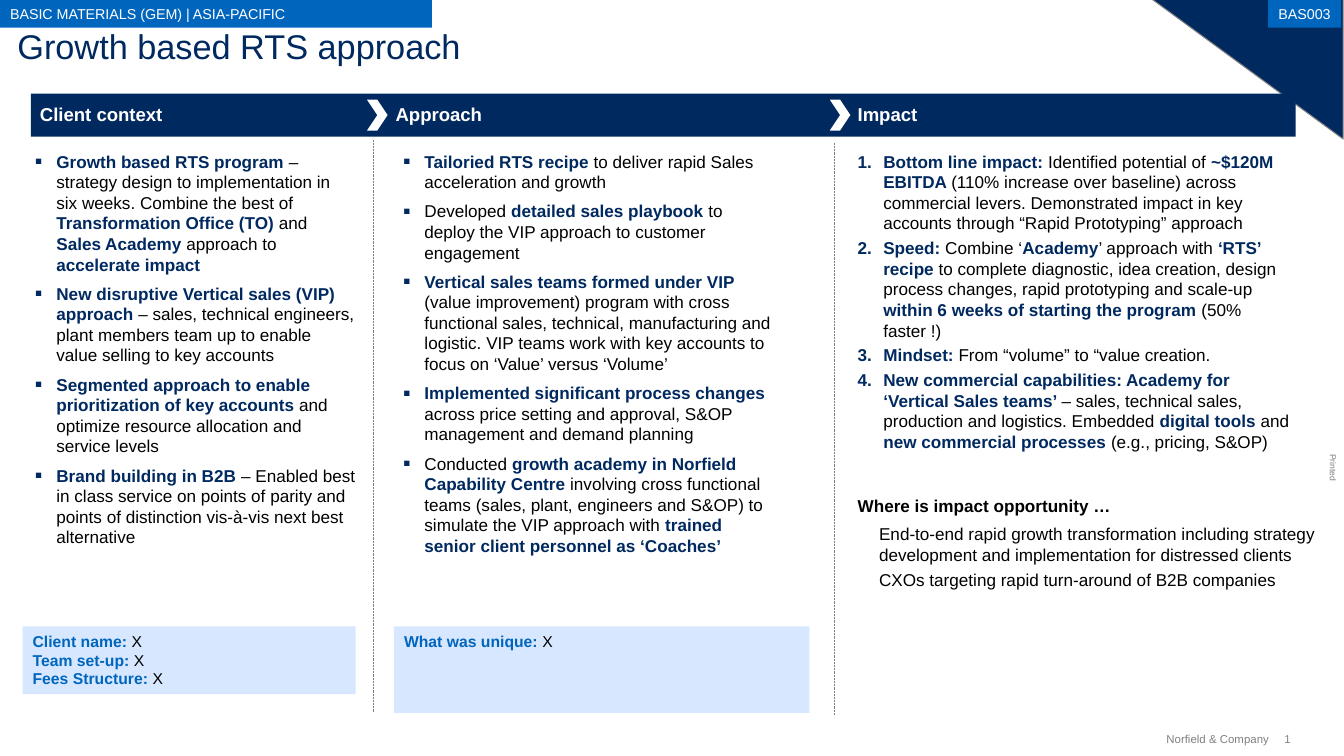
from lxml.etree import SubElement
from pptx import Presentation
from pptx.dml.color import RGBColor
from pptx.enum.dml import MSO_LINE
from pptx.enum.shapes import MSO_CONNECTOR, MSO_SHAPE
from pptx.enum.text import MSO_ANCHOR, PP_ALIGN
from pptx.oxml.ns import qn
from pptx.util import Pt

NAVY, BLUE, PALE, GREY, BLACK, WHITE = "002960", "0065BD", "D6E7FF", "808080", "000000", "FFFFFF"

# Text between asterisks is bold and takes the accent colour.
CONTEXT = [
    "*Growth based RTS program *– strategy design to implementation in six weeks. Combine the best of "
    "*Transformation Office (TO) *and *Sales Academy *approach to *accelerate impact*",
    "*New disruptive Vertical sales (VIP) approach *– sales, technical engineers, plant members team up "
    "to enable value selling to key accounts",
    "*Segmented approach to enable prioritization of key accounts *and optimize resource allocation "
    "and service levels",
    "*Brand building in B2B *– Enabled best in class service on points of parity and points of "
    "distinction vis-à-vis next best alternative",
]
APPROACH = [
    "*Tailoried RTS recipe* to deliver rapid Sales acceleration and growth",
    "Developed *detailed sales playbook *to deploy the VIP approach to customer engagement",
    "*Vertical sales teams formed under VIP *(value improvement) program with cross functional sales, "
    "technical, manufacturing and logistic. VIP teams work with key accounts to focus on ‘Value’ versus ‘Volume’",
    "*Implemented significant process changes* across price setting and approval, S&OP management "
    "and demand planning",
    "Conducted *growth academy in Norfield Capability Centre *involving cross functional teams (sales, "
    "plant, engineers and S&OP) to simulate the VIP approach with "
    "*trained senior client personnel as ‘Coaches’*",
]
IMPACT = [
    "*Bottom line impact: *Identified potential of *~$120M EBITDA *(110% increase over baseline) across "
    "commercial levers. Demonstrated impact in key accounts through “Rapid Prototyping” approach",
    "*Speed: *Combine ‘*Academy*’ approach with *‘RTS’ recipe *to complete diagnostic, idea creation, "
    "design process changes, rapid prototyping and scale-up *within 6 weeks of starting the program *"
    "(50% faster !)",
    "*Mindset: *From “volume” to “value creation.",
    "*New commercial capabilities: Academy for ‘Vertical Sales teams’ *– sales, technical sales, "
    "production and logistics. Embedded* digital tools *and *new commercial processes *(e.g., pricing, S&OP)",
]
OPPORTUNITY = [
    "End-to-end rapid growth transformation including strategy development and implementation "
    "for distressed clients",
    "CXOs targeting rapid turn-around of B2B companies",
]
# heading, heading left, body left, body width, paragraphs, space before, indent, bullet
COLUMNS = [
    ("Client context", 28, 24.5, 224.6, CONTEXT, 6, 15, "▪"),
    ("Approach", 277, 282.2, 260.6, APPROACH, 6, 15, "▪"),
    ("Impact", 600.5, 600.5, 307.4, IMPACT, 3, 18, "1."),
]
# chevron left, line left, line top
DIVIDERS = [(257, 261.4, 98), (581, 583.9, 100)]
LINE_LENGTH = 401
# left, width, height, paragraphs
PANELS = [
    (15.8, 233.3, 47.5, ["*Client name: *X", "*Team set-up: *X", "*Fees Structure: *X"]),
    (275.8, 290.9, 60.5, ["*What was unique: *X"]),
]
# left, width, text, alignment
TAGS = [
    (887.8, 51.1, "BAS003", PP_ALIGN.CENTER),
    (0, 302.4, "BASIC MATERIALS (GEM) | ASIA-PACIFIC", PP_ALIGN.LEFT),
]
# left, top, width, height, text, size, alignment, rotation
FOOTERS = [
    (923.8, 324, 19.4, 7.2, "Printed", 6, PP_ALIGN.LEFT, 90),
    (899.3, 512.6, 10, 9.4, "1", 8, PP_ALIGN.LEFT, 0),
    (808.6, 512.6, 80, 9.4, "Norfield & Company", 8, PP_ALIGN.RIGHT, 0),
]


def color(value):
    return RGBColor.from_string(value)


def add_bullet(paragraph, bullet, indent):
    properties = paragraph._p.get_or_add_pPr()
    properties.set("marL", str(Pt(indent)))
    if not bullet:
        return
    properties.set("indent", str(-Pt(indent)))
    SubElement(SubElement(properties, qn("a:buClr")), qn("a:srgbClr")).set("val", NAVY)
    if bullet == "1.":
        SubElement(properties, qn("a:buAutoNum")).set("type", "arabicPeriod")
    else:
        SubElement(properties, qn("a:buSzPct")).set("val", "125000")
        SubElement(properties, qn("a:buFont")).set("typeface", "Arial")
        SubElement(properties, qn("a:buChar")).set("char", bullet)


def write(shape, lines, size, plain=BLACK, accent=NAVY, align=PP_ALIGN.LEFT, anchor=MSO_ANCHOR.TOP,
          margins=(0, 0, 0, 0), wrap=True, gap=0, indent=0, bullet=None):
    frame = shape.text_frame
    frame.word_wrap = wrap
    frame.vertical_anchor = anchor
    frame.margin_left, frame.margin_top, frame.margin_right, frame.margin_bottom = map(Pt, margins)
    for index, line in enumerate(lines):
        paragraph = frame.add_paragraph() if index else frame.paragraphs[0]
        paragraph.alignment = align
        paragraph.space_before = Pt(gap if index else 0)
        if indent:
            add_bullet(paragraph, bullet, indent)
        for position, text in enumerate(line.split("*")):
            if text:
                run = paragraph.add_run()
                run.text = text
                run.font.name = "Arial"
                run.font.size = Pt(size)
                run.font.bold = position % 2 == 1
                run.font.color.rgb = color(accent if run.font.bold else plain)


def add_text(slide, left, top, width, height, lines, size, **style):
    box = slide.shapes.add_textbox(Pt(left), Pt(top), Pt(width), Pt(height))
    write(box, lines, size, **style)
    return box


def add_block(slide, kind, left, top, width, height, fill):
    shape = slide.shapes.add_shape(kind, Pt(left), Pt(top), Pt(width), Pt(height))
    shape.shadow.inherit = False
    shape.fill.solid()
    shape.fill.fore_color.rgb = color(fill)
    shape.line.fill.background()
    return shape


def add_divider(slide, left, top):
    line = slide.shapes.add_connector(MSO_CONNECTOR.STRAIGHT, Pt(left), Pt(top), Pt(left), Pt(top + LINE_LENGTH))
    line.line.color.rgb = color(GREY)
    line.line.width = Pt(0.5)
    line.line.dash_style = MSO_LINE.ROUND_DOT
    SubElement(line._element.spPr, qn("a:effectLst"))


def main():
    presentation = Presentation()
    presentation.slide_width, presentation.slide_height = Pt(941), Pt(529.2)
    slide = presentation.slides.add_slide(presentation.slide_layouts[6])

    corner = add_block(slide, MSO_SHAPE.RIGHT_TRIANGLE, 806.4, -0.7, 134, 98, NAVY)
    corner.rotation = 180
    corner.line.color.rgb = color(GREY)
    corner.line.width = Pt(0.75)

    for left, top, width, height, text, size, align, rotation in FOOTERS:
        footer = add_text(slide, left, top, width, height, [text], size, plain=GREY, align=align,
                          anchor=MSO_ANCHOR.MIDDLE, wrap=False)
        footer.rotation = rotation
    for left, width, text, align in TAGS:
        tag = add_block(slide, MSO_SHAPE.RECTANGLE, left, 0, width, 19.4, BLUE)
        write(tag, [text], 10, plain=WHITE, align=align, anchor=MSO_ANCHOR.MIDDLE, margins=(7.2, 3.6, 7.2, 3.6))

    add_text(slide, 12.2, 18, 787, 28.8, ["Growth based RTS approach"], 24, plain=NAVY)
    add_block(slide, MSO_SHAPE.RECTANGLE, 21.6, 65.5, 885.6, 30.2, NAVY)
    for heading, heading_left, left, width, lines, gap, indent, bullet in COLUMNS:
        add_text(slide, heading_left, 72, 210, 17.3, [f"*{heading}*"], 13, accent=WHITE,
                 anchor=MSO_ANCHOR.BOTTOM, margins=(0, 0, 0, 1.4))
        add_text(slide, left, 105.8, width, 290, lines, 12, gap=gap, indent=indent, bullet=bullet)
    for chevron_left, line_left, line_top in DIVIDERS:
        add_block(slide, MSO_SHAPE.CHEVRON, chevron_left, 69.8, 14.4, 21.6, WHITE)
        add_divider(slide, line_left, line_top)

    add_text(slide, 600.5, 340.6, 337.7, 20.9, ["*Where is impact opportunity …*"], 12, accent=BLACK,
             anchor=MSO_ANCHOR.BOTTOM)
    add_text(slide, 600.5, 366.5, 337.7, 46.8, OPPORTUNITY, 12, gap=3, indent=15)
    for left, width, height, lines in PANELS:
        panel = add_block(slide, MSO_SHAPE.RECTANGLE, left, 438.5, width, height, PALE)
        write(panel, lines, 11, accent=BLUE, margins=(7.2, 3.6, 7.2, 3.6))

    presentation.save("out.pptx")


if __name__ == "__main__":
    main()
